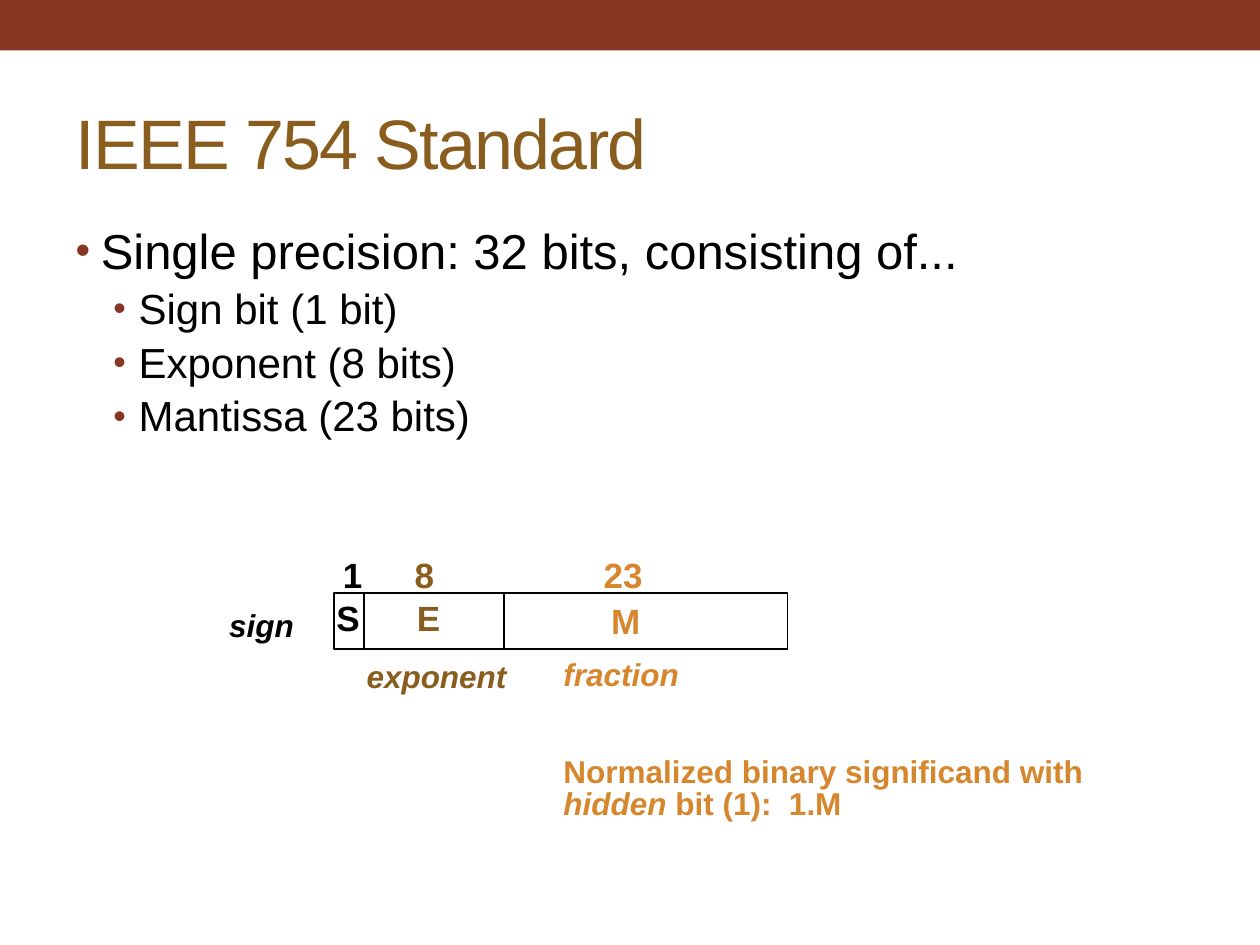
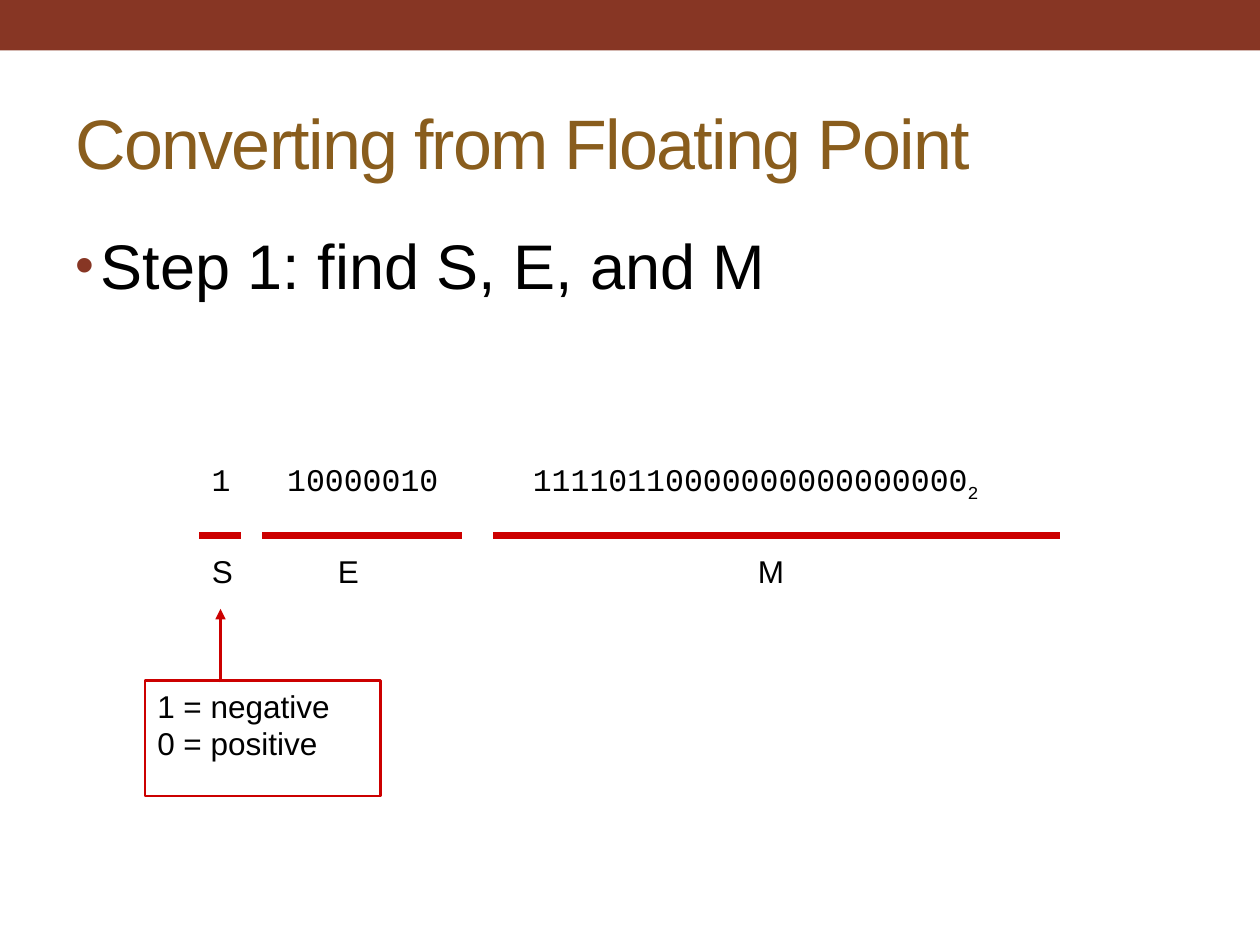
"""Build two slides on the IEEE 754 float format."""
from dataclasses import dataclass
from typing import Any, Optional

from lxml.etree import SubElement as Sub
from pptx import Presentation
from pptx.dml.color import RGBColor as Rgb
from pptx.enum.shapes import MSO_CONNECTOR as Line, MSO_SHAPE as Form
from pptx.enum.text import MSO_ANCHOR as Anchor, MSO_AUTO_SIZE as Fit, PP_ALIGN as Align
from pptx.oxml.ns import qn
from pptx.util import Pt

RUST, BROWN, GOLD = "873624", "895D1D", "D6862D"
RED, BLACK = "CC0000", "000000"
SANS, MONO = "Arial", "Courier New"


@dataclass(frozen=True)
class Box:
    """Hold a place in points."""
    left: float
    top: float
    width: float
    height: float


@dataclass(frozen=True)
class Style:
    """Hold the look of a run."""
    size: float = 18
    color: str = BLACK
    bold: bool = False
    slant: bool = False
    font: str = SANS


@dataclass(frozen=True)
class Label:
    """Hold a short text with its place and look."""
    text: str
    box: Box
    style: Style = Style()


@dataclass(frozen=True)
class Item:
    """Hold one line of a list."""
    text: str
    size: float
    level: int = 0


TITLE = Box(36, 42, 648, 78)
BODY = Box(36, 126, 648, 384)
INDENT = (14.4, 36)
HANG = 14.4


def paint(hue: str) -> Rgb:
    """Turn a hex string into a colour."""
    return Rgb.from_string(hue)


def place(shape: Any, box: Box) -> None:
    """Move a shape to its box."""
    shape.left, shape.top = Pt(box.left), Pt(box.top)
    shape.width, shape.height = Pt(box.width), Pt(box.height)


def write(para: Any, text: str, style: Style) -> Any:
    """Add one styled run."""
    run = para.add_run()
    run.text = text
    font = run.font
    font.size, font.name = Pt(style.size), style.font
    font.bold, font.italic = style.bold, style.slant
    font.color.rgb = paint(style.color)
    return run


def add_box(slide: Any, box: Box, wrap: bool, tight: bool = False) -> Any:
    """Add an empty text box."""
    shape = slide.shapes.add_textbox(Pt(box.left), Pt(box.top), Pt(box.width), Pt(box.height))
    frame = shape.text_frame
    frame.word_wrap = wrap
    frame.auto_size = Fit.NONE if wrap else Fit.SHAPE_TO_FIT_TEXT
    if tight:
        frame.margin_left = frame.margin_right = Pt(5)
        frame.margin_top = frame.margin_bottom = Pt(2)
        frame.paragraphs[0].line_spacing = 0.85
    return shape


def add_label(slide: Any, label: Label, tight: bool = False) -> None:
    """Draw a label."""
    shape = add_box(slide, label.box, False, tight)
    write(shape.text_frame.paragraphs[0], label.text, label.style)


def add_line(slide: Any, start: tuple[float, float], end: tuple[float, float],
             color: str, width: float, arrow: bool = False) -> None:
    """Draw a straight line, with an arrow at its end if asked."""
    line = slide.shapes.add_connector(Line.STRAIGHT, *map(Pt, start + end))
    line.line.color.rgb = paint(color)
    line.line.width = Pt(width)
    if arrow:
        Sub(line.line._get_or_add_ln(), qn("a:tailEnd"), type="triangle")
    Sub(line.element.spPr, qn("a:effectLst"))


def add_rect(slide: Any, box: Box) -> Any:
    """Draw a plain rectangle with no fill or line."""
    shape = slide.shapes.add_shape(Form.RECTANGLE, 0, 0, 0, 0)
    place(shape, box)
    shape.shadow.inherit = False
    shape.fill.background()
    shape.line.fill.background()
    return shape


def add_point(para: Any, item: Item) -> None:
    """Fill a list line and give it a bullet."""
    para.level = item.level
    write(para, item.text, Style(item.size))
    props = para._p.get_or_add_pPr()
    props.set("marL", str(Pt(INDENT[item.level])))
    props.set("indent", str(-Pt(HANG)))
    Sub(Sub(props, qn("a:buClr")), qn("a:srgbClr"), val=RUST)
    Sub(props, qn("a:buSzPct"), val="85000")
    Sub(props, qn("a:buFont"), typeface=SANS)
    Sub(props, qn("a:buChar"), char="•")


def add_page(deck: Any, title: str, items: list[Item], space: Optional[float] = None) -> Any:
    """Add a slide with its title and list."""
    slide = deck.slides.add_slide(deck.slide_layouts[1])
    head, body = slide.placeholders
    place(head, TITLE)
    place(body, BODY)
    frame = head.text_frame
    frame.vertical_anchor = Anchor.MIDDLE
    frame.auto_size = body.text_frame.auto_size = Fit.NONE
    para = frame.paragraphs[0]
    para.alignment = Align.LEFT
    run = write(para, title, Style(40, BROWN))
    run.font._element.set("spc", "-100")
    frame = body.text_frame
    for index, item in enumerate(items):
        para = frame.add_paragraph() if index else frame.paragraphs[0]
        para.line_spacing = space
        add_point(para, item)
    return slide


def add_band(deck: Any, slide: Any) -> None:
    """Put the top band on the master."""
    band = add_rect(slide, Box(0, 0, 720, 28.8))
    band.fill.solid()
    band.fill.fore_color.rgb = paint(RUST)
    deck.slide_master.shapes.element.insert(2, band.element)


def draw_format(slide: Any) -> None:
    """Draw the bit fields of a single float."""
    top, height = 339, 32
    edges = (190.8, 208, 288, 450)
    frame = add_rect(slide, Box(edges[0], top, edges[-1] - edges[0], height))
    frame.line.color.rgb = paint(BLACK)
    frame.line.width = Pt(1)
    for edge in edges[1:-1]:
        add_line(slide, (edge, top), (edge, top + height), BLACK, 1)

    black, brown, gold = (Style(20, hue, True) for hue in (BLACK, BROWN, GOLD))
    tilt = {hue: Style(18, hue, True, True) for hue in (BLACK, BROWN, GOLD)}
    labels = (
        Label("sign", Box(126, 347.6, 50, 22.4), tilt[BLACK]),
        Label("1", Box(191, 318, 22, 24.5), black),
        Label("8", Box(232, 318, 22, 24.5), brown),
        Label("23", Box(340, 318, 34, 24.5), gold),
        Label("exponent", Box(204.5, 376.6, 92, 22.4), tilt[BROWN]),
        Label("S", Box(187.2, 342.7, 24, 24.5), black),
        Label("E", Box(233.3, 342.7, 24, 24.5), brown),
        Label("M", Box(344.2, 344, 27, 24.5), gold),
    )
    for label in labels:
        add_label(slide, label, True)

    note = add_box(slide, Box(317, 375.8, 315.4, 96.5), True, True).text_frame
    write(note.paragraphs[0], "fraction", tilt[GOLD])
    para = note.add_paragraph()
    para.line_spacing, para.space_before = 0.85, Pt(37)
    plain = Style(18, GOLD, True)
    write(para, "Normalized binary significand with", plain)
    para.add_line_break()
    write(para, "hidden", tilt[GOLD])
    write(para, " bit (1):  1.M", plain)


def draw_parts(slide: Any) -> None:
    """Draw a float split into its three parts."""
    bits = add_box(slide, Box(113.8, 216, 527.8, 72.7), True).text_frame
    bits.margin_top = Pt(47)
    para = bits.paragraphs[0]
    tabs = Sub(para._p.get_or_add_pPr(), qn("a:tabLst"))
    for stop in (43.2, 183.6):
        Sub(tabs, qn("a:tab"), pos=str(Pt(stop)), algn="l")
    mono = Style(font=MONO)
    write(para, "1\t10000010\t11110110000000000000000", mono)
    low = write(para, "2", mono)
    low.font._element.set("baseline", "-25000")

    for start, end in ((114, 138), (150, 264), (282, 606)):
        add_line(slide, (start, 306), (end, 306), RED, 4.5)
    for text, left, width in (("S", 114, 28), ("E", 186, 29), ("M", 426, 36)):
        add_label(slide, Label(text, Box(left, 312, width, 36)))

    key = add_box(slide, Box(82.8, 388.8, 134.6, 66.2), True)
    key.line.color.rgb = paint(RED)
    key.line.width = Pt(1.5)
    frame = key.text_frame
    write(frame.paragraphs[0], "1 = negative", Style())
    write(frame.add_paragraph(), "0 = positive", Style())
    add_line(slide, (126, 390), (126, 348), RED, 1.5, True)


def main() -> None:
    """Build and save the deck."""
    deck = Presentation()
    deck.slide_width, deck.slide_height = Pt(720), Pt(540)
    first = add_page(deck, "IEEE 754 Standard", [
        Item("Single precision: 32 bits, consisting of...", 28),
        Item("Sign bit (1 bit)", 24, 1),
        Item("Exponent (8 bits)", 24, 1),
        Item("Mantissa (23 bits)", 24, 1),
    ], 0.9)
    add_band(deck, first)
    draw_format(first)
    draw_parts(add_page(deck, "Converting from Floating Point",
                        [Item("Step 1: find S, E, and M", 36)]))
    deck.save("out.pptx")


if __name__ == "__main__":
    main()
